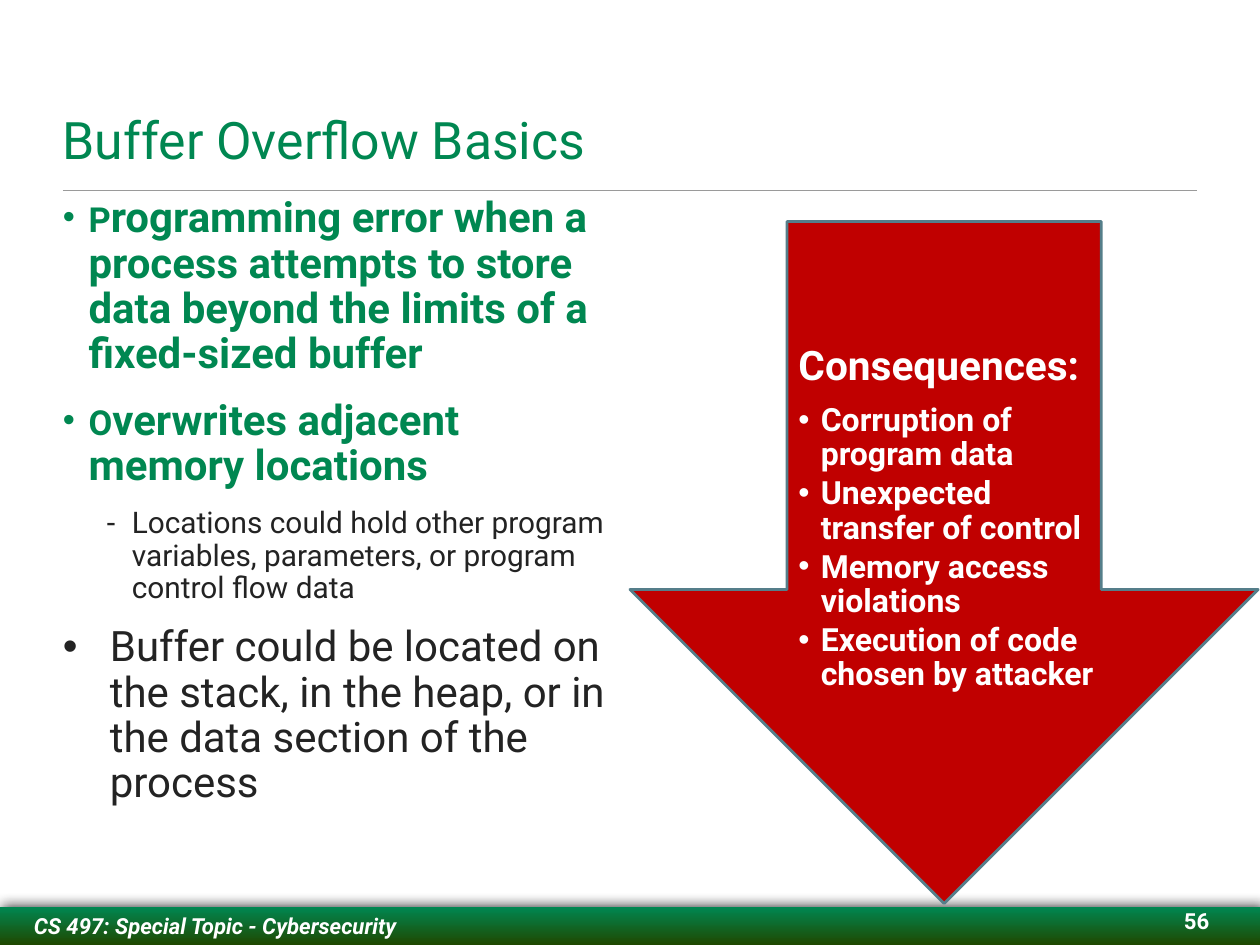
from lxml.etree import SubElement
from pptx import Presentation
from pptx.dml.color import RGBColor
from pptx.enum.shapes import MSO_CONNECTOR, MSO_SHAPE
from pptx.enum.text import MSO_ANCHOR, MSO_AUTO_SIZE, PP_ALIGN
from pptx.oxml.ns import qn
from pptx.util import Cm, Pt

GREEN = RGBColor(0x00, 0x87, 0x51)
DARK_GREEN = RGBColor(0x1F, 0x48, 0x00)
INK = RGBColor(0x23, 0x23, 0x23)
RED = RGBColor(0xC0, 0x00, 0x00)
STEEL = RGBColor(0x55, 0x7E, 0x8A)
GREY = RGBColor(0x9A, 0x9A, 0x9A)
WHITE = RGBColor(0xFF, 0xFF, 0xFF)

TITLE = "Buffer Overflow Basics"
COURSE = "CS 497: Special Topic - Cybersecurity"
PAGE = "56"

KEY_POINT = dict(size=34.1, initial_size=28, color=GREEN, bold=True,
                 bullet="•", margin=0.74, hanging=0.74)
DETAIL = dict(size=24.2, color=INK, bullet="-", margin=1.98, hanging=0.74, level=1)
PLAIN_POINT = dict(size=34.1, color=INK, bullet="•", margin=1.35, hanging=1.35, level=1)
BASICS = [
    ("Programming error when a process attempts to store data beyond "
     "the limits of a fixed-sized buffer", 0, KEY_POINT),
    ("Overwrites adjacent memory locations", 17.1, KEY_POINT),
    ("Locations could hold other program variables, parameters, "
     "or program control flow data", 15, DETAIL),
    ("Buffer could be located on the stack, in the heap, or in the "
     "data section of the process", 17.1, PLAIN_POINT),
]
CONSEQUENCES_HEADING = "Consequences:"
CONSEQUENCES = [
    "Corruption of program data",
    "Unexpected transfer of control",
    "Memory access violations",
    "Execution of code chosen by attacker",
]

SLIDE_WIDTH, SLIDE_HEIGHT = 36.12, 27.1
MARGIN = 1.8
CONTENT_WIDTH = SLIDE_WIDTH - 2 * MARGIN
RULE_TOP = 5.46
FOOTER_HEIGHT = 1.09
FOOTER_TOP = SLIDE_HEIGHT - FOOTER_HEIGHT
ARROW_TOP = 6.35


def write(frame, text, size, color, bold=False, italic=False, initial_size=None,
          align=PP_ALIGN.LEFT, bullet=None, margin=0, hanging=0, level=0,
          line_spacing=1, before=0, after=0):
    paragraph = frame.paragraphs[0]
    if paragraph.runs:
        paragraph = frame.add_paragraph()
    properties = paragraph._p.get_or_add_pPr()
    properties.set("marL", str(Cm(margin)))
    properties.set("indent", str(-Cm(hanging)))
    if bullet:
        SubElement(properties, qn("a:buFont"), typeface="Arial")
        SubElement(properties, qn("a:buChar"), char=bullet)
    paragraph.level = level
    paragraph.alignment = align
    paragraph.line_spacing = line_spacing
    paragraph.space_before = Pt(before)
    paragraph.space_after = Pt(after)
    pieces = [(text, size)]
    if initial_size:
        pieces = [(text[:1], initial_size), (text[1:], size)]
    for piece, piece_size in pieces:
        run = paragraph.add_run()
        run.text = piece
        run.font.name = "Roboto"
        run.font.size = Pt(piece_size)
        run.font.bold = bold
        run.font.italic = italic
        run.font.color.rgb = color


def set_frame(shape, anchor=MSO_ANCHOR.TOP, side=0, bottom=0, wrap=True):
    frame = shape.text_frame
    frame.auto_size = MSO_AUTO_SIZE.NONE
    frame.word_wrap = wrap
    frame.vertical_anchor = anchor
    frame.margin_left = frame.margin_right = Cm(side)
    frame.margin_top = 0
    frame.margin_bottom = Cm(bottom)
    return frame


def place(shape, left, top, width, height):
    shape.left, shape.top = Cm(left), Cm(top)
    shape.width, shape.height = Cm(width), Cm(height)


def add_rule(shapes):
    rule = shapes.add_connector(MSO_CONNECTOR.STRAIGHT, Cm(MARGIN), Cm(RULE_TOP),
                                Cm(MARGIN + CONTENT_WIDTH), Cm(RULE_TOP))
    rule.line.color.rgb = GREY
    rule.line.width = Pt(1)
    SubElement(rule._element.spPr, qn("a:effectLst"))


def add_footer(shapes):
    footer = shapes.add_shape(MSO_SHAPE.RECTANGLE, 0, Cm(FOOTER_TOP),
                              Cm(SLIDE_WIDTH), Cm(FOOTER_HEIGHT))
    footer.line.fill.background()
    footer.fill.gradient()
    footer.fill.gradient_angle = 270
    for stop, color, position in zip(footer.fill.gradient_stops, (GREEN, DARK_GREEN), (0, 1)):
        stop.color.rgb = color
        stop.position = position
    footer.shadow.inherit = False
    effects = footer._element.spPr.find(qn("a:effectLst"))
    shadow = SubElement(effects, qn("a:outerShdw"), blurRad=str(Pt(10)), dist=str(Pt(2)),
                        dir=str(315 * 60000), algn="ctr", rotWithShape="0")
    black = SubElement(shadow, qn("a:srgbClr"), val="000000")
    SubElement(black, qn("a:alpha"), val="75000")
    write(set_frame(footer, MSO_ANCHOR.MIDDLE), COURSE, 18, WHITE, bold=True,
          italic=True, margin=0.97, level=1)

    page = shapes.add_textbox(Cm(34.01), Cm(FOOTER_TOP), Cm(0.66), Cm(0.76))
    write(set_frame(page, wrap=False), PAGE, 18, WHITE, bold=True, align=PP_ALIGN.RIGHT)


def add_consequences(shapes):
    arrow = shapes.add_shape(MSO_SHAPE.DOWN_ARROW, Cm(18.06), Cm(ARROW_TOP),
                             Cm(18.01), Cm(19.56))
    arrow.shadow.inherit = False
    arrow.fill.solid()
    arrow.fill.fore_color.rgb = RED
    arrow.line.color.rgb = STEEL
    arrow.line.width = Pt(2.25)

    box = shapes.add_textbox(Cm(22.23), Cm(ARROW_TOP), Cm(10.11), Cm(17.75))
    frame = set_frame(box, MSO_ANCHOR.MIDDLE, side=0.66, bottom=0.66)
    write(frame, CONSEQUENCES_HEADING, 33, WHITE, bold=True, line_spacing=0.9, after=11.5)
    for consequence in CONSEQUENCES:
        write(frame, consequence, 26, WHITE, bold=True, bullet="•", margin=0.64,
              hanging=0.64, level=1, line_spacing=0.9, after=3.5)


def main():
    deck = Presentation()
    deck.slide_width, deck.slide_height = Cm(SLIDE_WIDTH), Cm(SLIDE_HEIGHT)
    slide = deck.slides.add_slide(deck.slide_layouts[1])
    title, basics = slide.placeholders

    place(title, MARGIN, 2.82, CONTENT_WIDTH, 2.06)
    write(set_frame(title, MSO_ANCHOR.BOTTOM), TITLE, 42, GREEN)

    place(basics, MARGIN, 5.64, 15.54, 18.8)
    basics_frame = set_frame(basics)
    for text, before, style in BASICS:
        write(basics_frame, text, before=before, line_spacing=0.9, **style)

    add_rule(slide.shapes)
    add_footer(slide.shapes)
    add_consequences(slide.shapes)
    deck.save("out.pptx")


if __name__ == "__main__":
    main()
